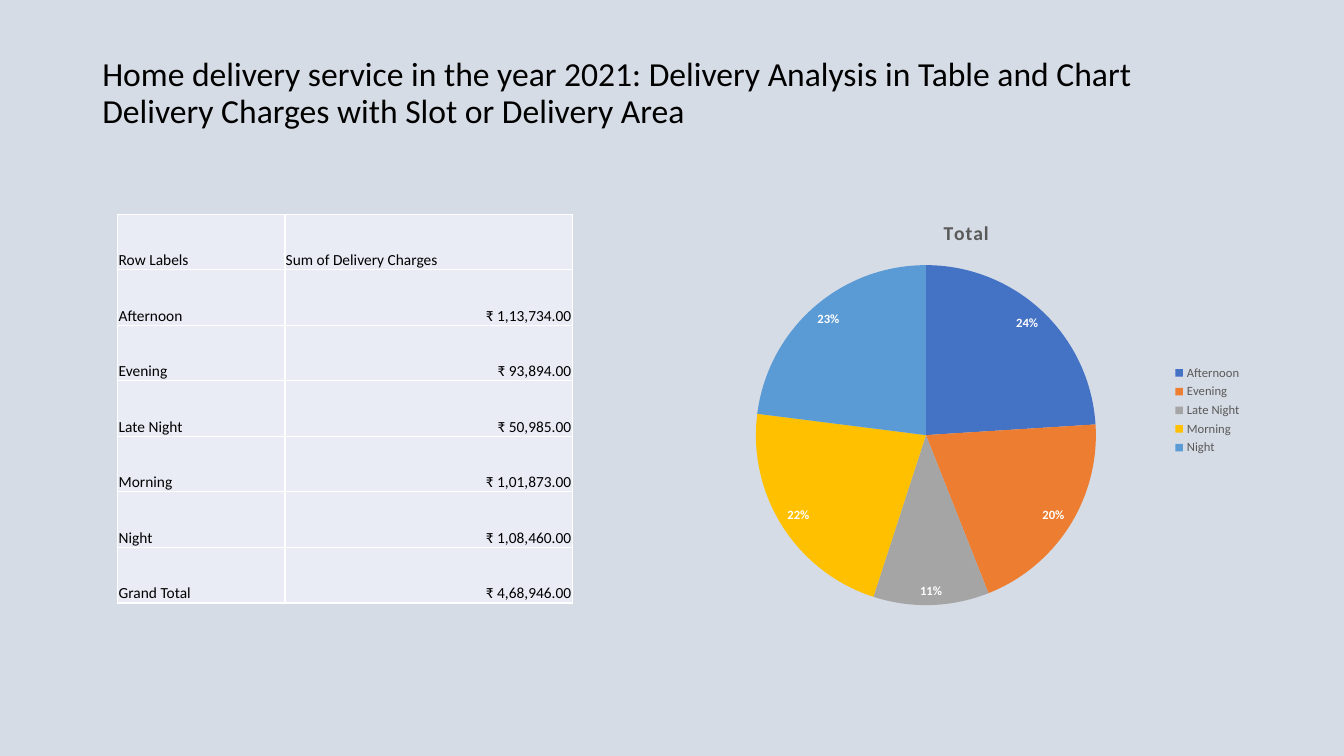
import dataclasses

import pptx
import pptx.chart.data
import pptx.dml.color
import pptx.enum.chart
import pptx.enum.text
import pptx.oxml
import pptx.oxml.ns
import pptx.util

Cm = pptx.util.Cm
Pt = pptx.util.Pt
ALIGN = pptx.enum.text.PP_ALIGN
ANCHOR = pptx.enum.text.MSO_ANCHOR

FONT = "Calibri"
BACKGROUND, CELL_FILL, BORDER = "D6DCE5", "E9EBF5", "FFFFFF"
BLACK, GREY, WHITE = "000000", "595959", "FFFFFF"


@dataclasses.dataclass(frozen=True)
class Slot:
    name: str
    charges: str
    share: int
    color: str


SLOTS = [
    Slot("Afternoon", "₹ 1,13,734.00", 24, "4472C4"),
    Slot("Evening", "₹ 93,894.00", 20, "ED7D31"),
    Slot("Late Night", "₹ 50,985.00", 11, "A5A5A5"),
    Slot("Morning", "₹ 1,01,873.00", 22, "FFC000"),
    Slot("Night", "₹ 1,08,460.00", 23, "5B9BD5"),
]


def rgb(value: str) -> pptx.dml.color.RGBColor:
    return pptx.dml.color.RGBColor.from_string(value)


def paint(fill, color: str) -> None:
    fill.solid()
    fill.fore_color.rgb = rgb(color)


def style_font(font, size: float, color: str, bold: bool = False) -> None:
    font.name = FONT
    font.size = Pt(size)
    font.bold = bold
    font.color.rgb = rgb(color)


def write(frame, text: str, *, size: float, color: str = BLACK, bold: bool = False,
          align=ALIGN.LEFT, line_spacing: float = 1.0) -> None:
    paragraph = frame.paragraphs[0]
    paragraph.alignment = align
    paragraph.line_spacing = line_spacing
    run = paragraph.add_run()
    run.text = text
    style_font(run.font, size, color, bold)


def border_cell(cell) -> None:
    properties = cell._tc.get_or_add_tcPr()
    for index, side in enumerate(("lnL", "lnR", "lnT", "lnB")):
        line = pptx.oxml.parse_xml(
            f'<a:{side} {pptx.oxml.ns.nsdecls("a")} w="12700"><a:solidFill>'
            f'<a:srgbClr val="{BORDER}"/></a:solidFill></a:{side}>')
        properties.insert(index, line)


def add_title(slide) -> None:
    title = slide.shapes.add_textbox(Cm(2.33), Cm(1.02), Cm(29.21), Cm(3.68))
    frame = title.text_frame
    frame.word_wrap = True
    frame.vertical_anchor = ANCHOR.TOP
    frame.margin_top, frame.margin_right = Cm(0.44), Cm(0.8)
    write(frame, "Home delivery service in the year 2021: Delivery Analysis in Table "
          "and Chart Delivery Charges with Slot or Delivery Area",
          size=24, line_spacing=0.9)


def add_charges_table(slide) -> None:
    rows = [("Row Labels", "Sum of Delivery Charges"),
            *((slot.name, slot.charges) for slot in SLOTS),
            ("Grand Total", "₹ 4,68,946.00")]
    row_height = Cm(1.4)
    charges = slide.shapes.add_table(len(rows), 2, Cm(2.97), Cm(5.4),
                                     Cm(11.45), row_height * len(rows)).table
    for column, width in zip(charges.columns, (4.21, 7.24)):
        column.width = Cm(width)
    for row_index, row in enumerate(rows):
        charges.rows[row_index].height = row_height
        for column_index, text in enumerate(row):
            cell = charges.cell(row_index, column_index)
            cell.margin_left = cell.margin_right = cell.margin_top = Cm(0.02)
            cell.margin_bottom = 0
            cell.vertical_anchor = ANCHOR.BOTTOM
            paint(cell.fill, CELL_FILL)
            border_cell(cell)
            is_amount = row_index > 0 and column_index == 1
            write(cell.text_frame, text, size=11,
                  align=ALIGN.RIGHT if is_amount else ALIGN.LEFT)


def add_share_chart(slide) -> None:
    shares = pptx.chart.data.CategoryChartData()
    shares.categories = [slot.name for slot in SLOTS]
    shares.add_series("Total", [slot.share for slot in SLOTS])
    chart = slide.shapes.add_chart(
        pptx.enum.chart.XL_CHART_TYPE.PIE, Cm(17.15), Cm(5.08), Cm(14.4), Cm(10.52),
        shares).chart
    style_font(chart.font, 10, BLACK)

    # Chart title with slightly spaced letters
    heading = chart.chart_title.text_frame
    write(heading, "Total", size=14, color=GREY, bold=True, align=ALIGN.CENTER)
    heading.paragraphs[0].runs[0].font._element.set("spc", "50")
    chart.chart_title.include_in_layout = False

    # Legend
    chart.has_legend = True
    chart.legend.position = pptx.enum.chart.XL_LEGEND_POSITION.RIGHT
    chart.legend.include_in_layout = False
    style_font(chart.legend.font, 9, GREY)

    # Slices and percentages
    pie = chart.plots[0]
    pie.vary_by_categories = True
    for index, slot in enumerate(SLOTS):
        paint(pie.series[0].points[index].format.fill, slot.color)
    labels = pie.series[0].data_labels
    labels.show_percentage = True
    labels.show_value = False
    labels.number_format = "0%"
    labels.number_format_is_linked = False
    labels.position = pptx.enum.chart.XL_LABEL_POSITION.INSIDE_END
    style_font(labels.font, 9, WHITE, bold=True)


def main() -> None:
    presentation = pptx.Presentation()
    presentation.slide_width, presentation.slide_height = Cm(33.87), Cm(19.05)
    slide = presentation.slides.add_slide(presentation.slide_layouts[6])
    paint(slide.background.fill, BACKGROUND)
    add_title(slide)
    add_charges_table(slide)
    add_share_chart(slide)
    presentation.save("out.pptx")


if __name__ == "__main__":
    main()
